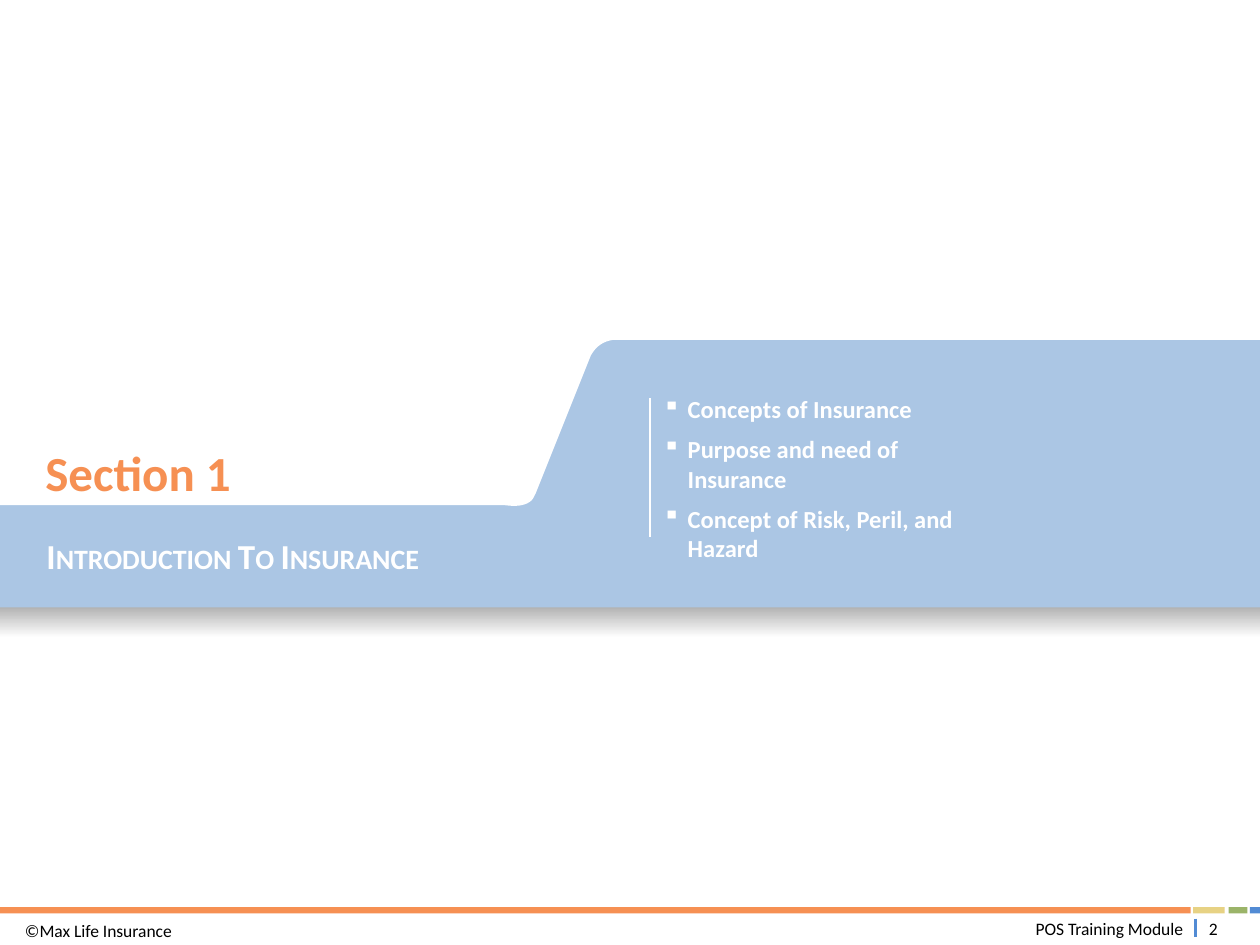
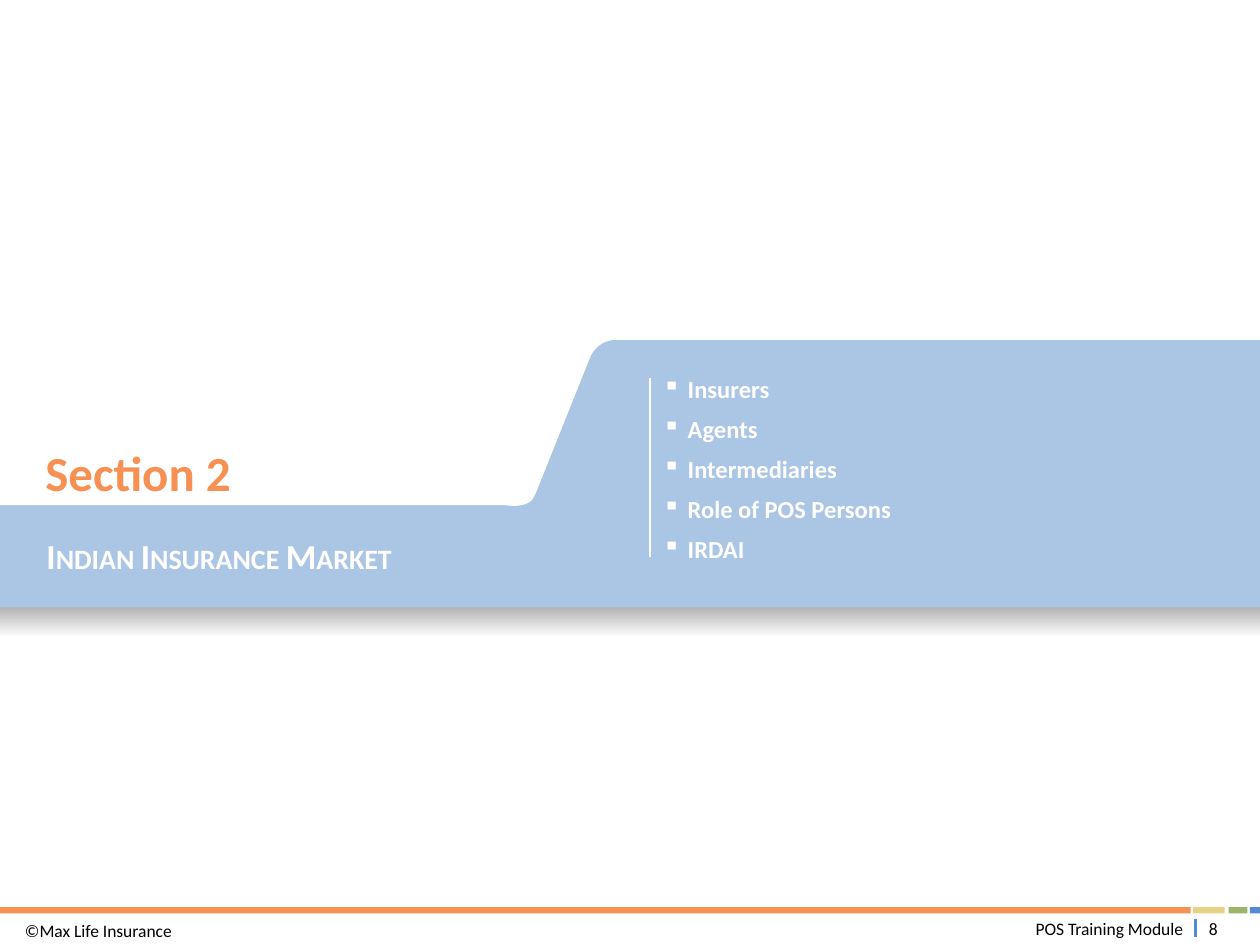
from dataclasses import dataclass
from lxml import etree
from pptx import Presentation
from pptx.dml.color import RGBColor
from pptx.enum.shapes import MSO_CONNECTOR, MSO_SHAPE
from pptx.enum.text import MSO_ANCHOR, MSO_AUTO_SIZE, PP_ALIGN
from pptx.oxml.ns import qn
from pptx.util import Inches, Pt

RECTANGLE = MSO_SHAPE.RECTANGLE
STRAIGHT = MSO_CONNECTOR.STRAIGHT
TOP, MIDDLE = MSO_ANCHOR.TOP, MSO_ANCHOR.MIDDLE
LEFT, CENTER, RIGHT = PP_ALIGN.LEFT, PP_ALIGN.CENTER, PP_ALIGN.RIGHT
NO_AUTOSIZE = MSO_AUTO_SIZE.NONE
TITLE_ONLY = 5


@dataclass(frozen=True)
class Theme:
    """Colours, font and type sizes shared by the deck."""
    font: str = "Calibri"
    orange: str = "F69053"
    yellow: str = "E7D284"
    green: str = "9BB469"
    blue: str = "528BD4"
    band: str = "ABC6E4"
    shade: str = "A6A6A6"
    white: str = "FFFFFF"
    black: str = "000000"
    section_size: int = 28
    topic_size: int = 20
    list_size: int = 14
    footer_size: int = 10


THEME = Theme()

SECTIONS = [
    dict(number=2, section="Section 1", topic="Introduction To Insurance",
         list_box=(5.16, 3.08, 2.88, 1.34), rule_length=1.1,
         items=["Concepts of Insurance", "Purpose and need of Insurance",
                "Concept of Risk, Peril, and Hazard"]),
    dict(number=8, section="Section 2", topic="Indian Insurance Market",
         list_box=(5.16, 2.92, 2.88, 1.59), rule_length=1.42,
         items=["Insurers", "Agents", "Intermediaries", "Role of POS Persons", "IRDAI"]),
]


def to_inches(values):
    """Turn plain numbers into lengths."""
    return [Inches(value) for value in values]


def paint(shape, color):
    """Give a shape a flat fill with no line or shadow."""
    shape.shadow.inherit = False
    shape.line.fill.background()
    shape.fill.solid()
    shape.fill.fore_color.rgb = RGBColor.from_string(color)


def add_block(page, box, color):
    """Add a plain filled rectangle."""
    block = page.shapes.add_shape(RECTANGLE, *to_inches(box))
    paint(block, color)
    return block


def add_rule(page, left, top, length, color, width):
    """Add a vertical line."""
    rule = page.shapes.add_connector(STRAIGHT, *to_inches((left, top, left, top + length)))
    rule.line.color.rgb = RGBColor.from_string(color)
    rule.line.width = Pt(width)
    etree.SubElement(rule._element.spPr, qn("a:effectLst"))


def set_frame(frame, anchor, insets):
    """Set wrapping, anchor and (horizontal, vertical) insets."""
    frame.word_wrap = True
    frame.auto_size = NO_AUTOSIZE
    frame.vertical_anchor = anchor
    frame.margin_left = frame.margin_right = Inches(insets[0])
    frame.margin_top = frame.margin_bottom = Inches(insets[1])


def add_span(para, text, size, color, bold=False, align=LEFT):
    """Add one formatted run to a paragraph."""
    para.alignment = align
    span = para.add_run()
    span.text = text
    span.font.name = THEME.font
    span.font.size = Pt(size)
    span.font.bold = bold
    span.font.color.rgb = RGBColor.from_string(color)
    return span


def add_text_box(page, box, anchor, insets):
    """Add an empty text box and return its frame."""
    frame = page.shapes.add_textbox(*to_inches(box)).text_frame
    set_frame(frame, anchor, insets)
    return frame


def add_label(page, box, text, align=LEFT, anchor=MIDDLE, insets=(0.05, 0.05)):
    """Add a small footer text."""
    frame = add_text_box(page, box, anchor, insets)
    add_span(frame.paragraphs[0], text, THEME.footer_size, THEME.black, align=align)


def add_footer(page, box, number):
    """Draw the coloured strip, footer texts and page number."""
    left, top, width, _ = box
    segments = [(0, 9.45, THEME.orange), (9.47, 0.25, THEME.yellow),
                (9.75, 0.15, THEME.green), (9.92, width - 9.92, THEME.blue)]
    for offset, length, color in segments:
        add_block(page, (left + offset, top, length, 0.05), color)
    add_rule(page, left + 9.49, top + 0.09, 0.15, THEME.blue, 1.5)
    add_label(page, (left + 7.31, top + 0.07, 2.13, 0.2), "POS Training Module", RIGHT)
    add_label(page, (left + 9.48, top + 0.07, 0.3, 0.2), str(number), CENTER)
    add_label(page, (left + 0.1, top + 0.05, 3.13, 0.23), "©Max Life Insurance",
              anchor=TOP, insets=(0.1, 0.05))


def curve(start, first, second, end, steps=16):
    """Return points along a cubic curve, leaving out its start."""
    points = []
    for step in range(1, steps + 1):
        t = step / steps
        weights = ((1 - t) ** 3, 3 * t * (1 - t) ** 2, 3 * t * t * (1 - t), t ** 3)
        points.append(tuple(sum(weight * point[axis] for weight, point
                                in zip(weights, (start, first, second, end)))
                            for axis in (0, 1)))
    return points


def add_cutout(page, left, top):
    """Cut the raised tab out of the band with a white outline."""
    outline = [(0, 0), (4.97, 0)]
    outline += curve((4.97, 0), (5.78, 0.03), (5.17, 0.16), (5.04, 0.17))
    outline += curve((5.04, 0.17), (4.93, 0.18), (4.78, 0.14), (4.69, 0.3))
    outline.append((4.25, 1.4))
    outline += curve((4.25, 1.4), (4.24, 1.4), (4.24, 1.52), (4.01, 1.49))
    outline.append((0, 1.49))
    points = [to_inches((left + x, top + y)) for x, y in outline]
    builder = page.shapes.build_freeform(*points[0], scale=1.0)
    builder.add_line_segments(points[1:], close=True)
    paint(builder.convert_to_shape(), THEME.white)


def add_band(page, box, section, topic):
    """Draw the tabbed band with its shade, section title and topic."""
    left, top, width, height = box
    shade = add_block(page, (left, top + height - 0.04, width, 0.28), THEME.shade)
    shade.fill.gradient()
    shade.fill.gradient_angle = 270
    for stop, color in zip(shade.fill.gradient_stops, (THEME.shade, THEME.white)):
        stop.color.rgb = RGBColor.from_string(color)
    add_block(page, box, THEME.band)
    add_cutout(page, left, top - 0.18)

    title = page.shapes.title
    title.left, title.top, title.width, title.height = to_inches(
        (left + 0.26, top + 0.94, 2.63, 0.21))
    set_frame(title.text_frame, MIDDLE, (0.1, 0.1))
    add_span(title.text_frame.paragraphs[0], section, THEME.section_size, THEME.orange, True)
    page.shapes._spTree.append(title._element)

    frame = add_text_box(page, (left + 0.27, top + 1.45, 3.79, 0.52), MIDDLE, (0.1, 0.1))
    span = add_span(frame.paragraphs[0], topic, THEME.topic_size, THEME.white, True)
    span.font._element.set("cap", "small")


def add_bullet(para):
    """Give a paragraph a white square bullet with a hanging indent."""
    props = para._p.get_or_add_pPr()
    props.set("marL", str(Inches(0.2)))
    props.set("indent", str(-Inches(0.2)))
    color = etree.SubElement(props, qn("a:buClr"))
    etree.SubElement(color, qn("a:srgbClr"), val=THEME.white)
    etree.SubElement(props, qn("a:buChar"), char="▪")


def add_contents(page, box, items, rule_length):
    """Add the bulleted contents beside a vertical rule."""
    frame = add_text_box(page, box, TOP, (0.1, 0.05))
    for index, item in enumerate(items):
        para = frame.add_paragraph() if index else frame.paragraphs[0]
        add_bullet(para)
        para.space_before = Pt(6 if index else 0)
        add_span(para, item, THEME.list_size, THEME.white, True)
    add_rule(page, box[0], box[1] + 0.08, rule_length, THEME.white, 1)


def add_section_page(deck, number, section, topic, list_box, rule_length, items):
    """Build one section divider."""
    page = deck.slides.add_slide(deck.slide_layouts[TITLE_ONLY])
    add_footer(page, (0, 7.2, 10, 0.3), number)
    add_band(page, (0, 2.7, 10, 2.12), section, topic)
    add_contents(page, list_box, items, rule_length)


def main():
    """Build and save the deck."""
    deck = Presentation()
    deck.slide_width, deck.slide_height = Inches(10), Inches(7.5)
    for section in SECTIONS:
        add_section_page(deck, **section)
    deck.save("out.pptx")


if __name__ == "__main__":
    main()
